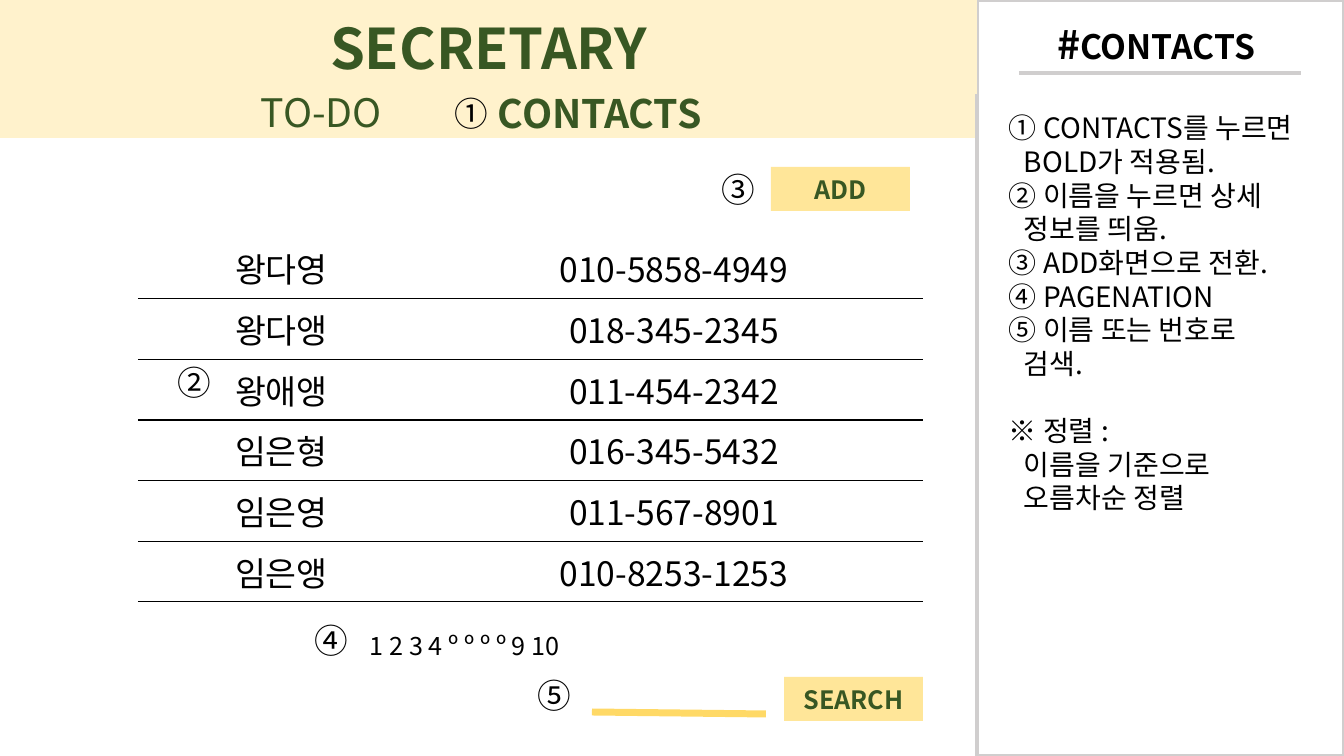
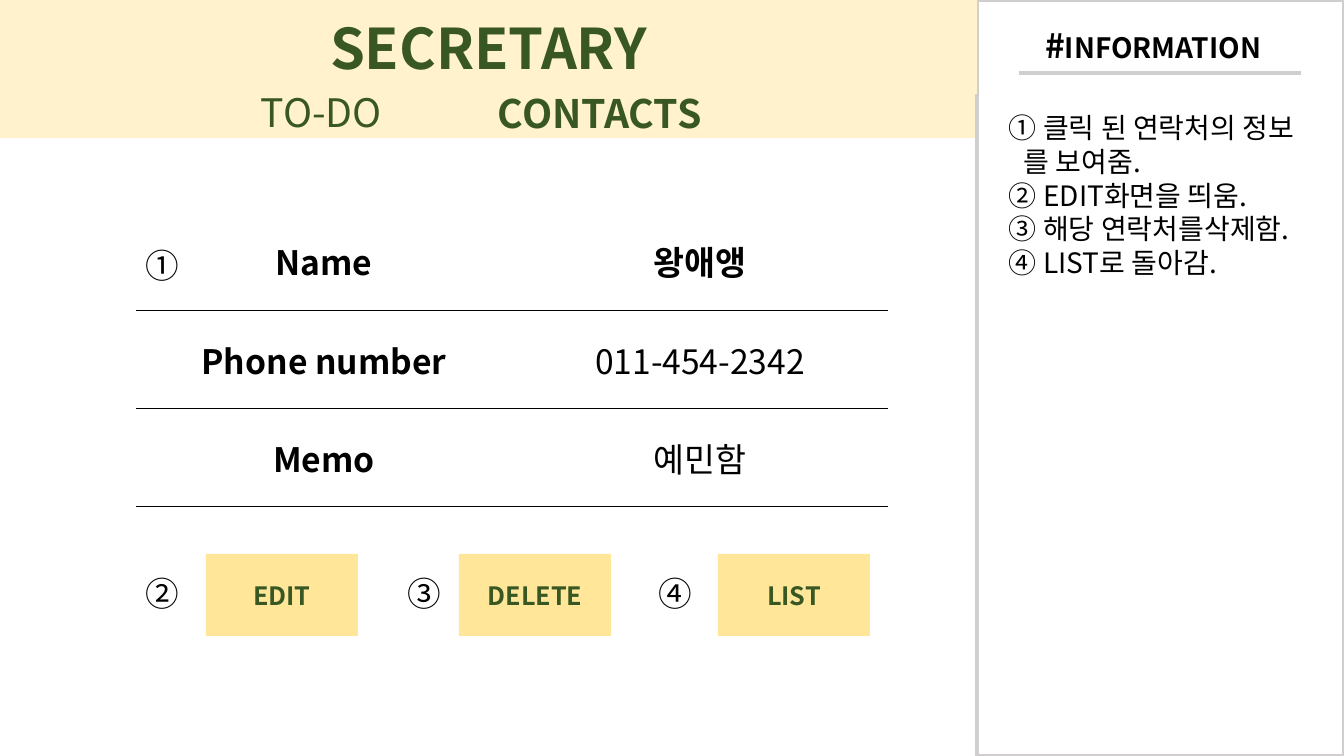
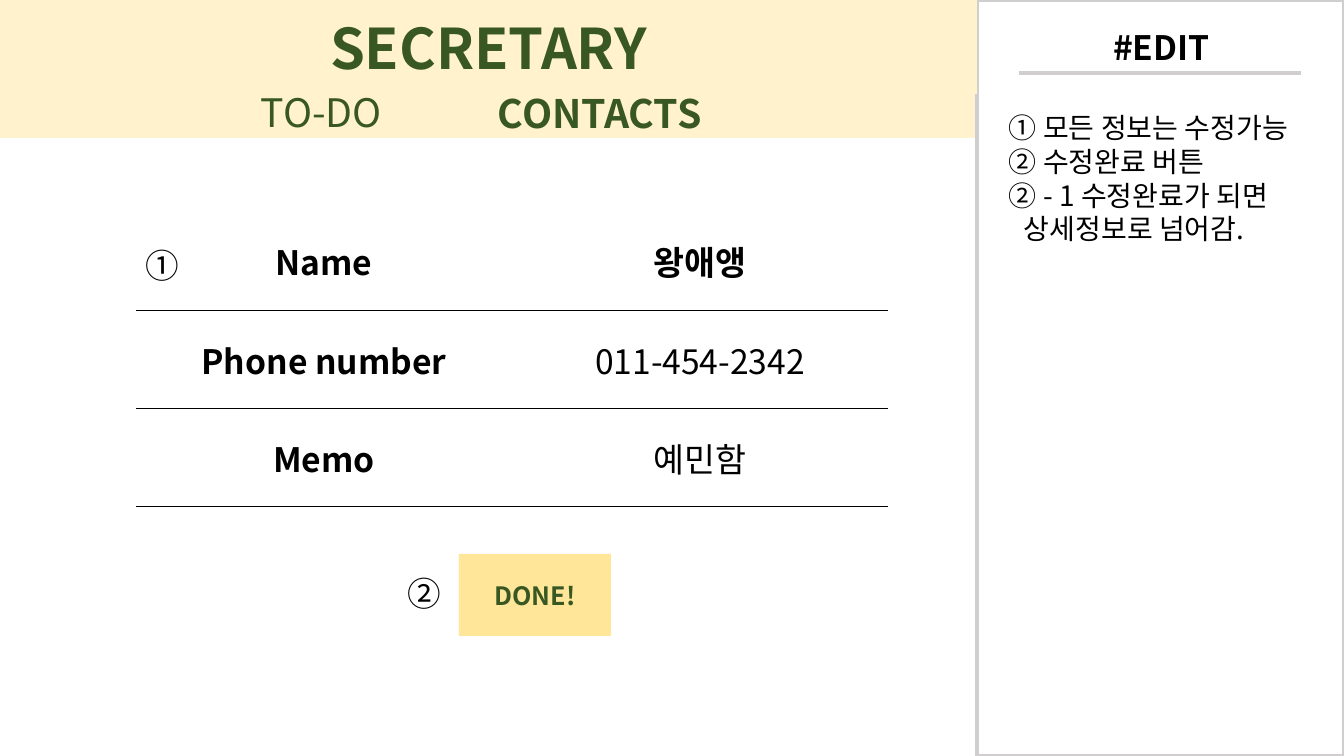
"""Build the three contact-screen slides of the SECRETARY storyboard."""
import dataclasses

import lxml.etree
import pptx
import pptx.dml.color
import pptx.enum.shapes
import pptx.enum.text
import pptx.oxml.ns
import pptx.util


@dataclasses.dataclass(frozen=True)
class Theme:
    font: str = "Noto Sans CJK KR"
    black: str = "000000"
    white: str = "FFFFFF"
    green: str = "385723"
    cream: str = "FFF2CC"
    button: str = "FFE699"
    gold: str = "FFD966"
    gray: str = "D0CECE"
    brand_size: int = 40
    tab_size: int = 28
    main_size: int = 24
    note_size: int = 20
    small_size: int = 18


theme = Theme()
PIXEL = 914400 / 100.8
HANG = round(15 * PIXEL)
NO_STYLE = "{2D5ABB26-0587-4C30-8999-92F81FD0307C}"
qn = pptx.oxml.ns.qn
rgb = pptx.dml.color.RGBColor.from_string
Align = pptx.enum.text.PP_ALIGN
Anchor = pptx.enum.text.MSO_ANCHOR
RECTANGLE = pptx.enum.shapes.MSO_SHAPE.RECTANGLE
STRAIGHT = pptx.enum.shapes.MSO_CONNECTOR.STRAIGHT


def write(paragraph, text, size=theme.main_size, color=theme.black, bold=False, align=Align.LEFT):
    paragraph.alignment = align
    for index, line in enumerate(text.split("\v")):
        if index:
            paragraph.add_line_break()
        run = paragraph.add_run()
        run.text = line
        run.font.name = theme.font
        run.font.size = pptx.util.Pt(size)
        run.font.bold = bold
        run.font.color.rgb = rgb(color)
        east_asian = lxml.etree.SubElement(run.font._element, qn("a:ea"))
        east_asian.set("typeface", theme.font)


def add_box(slide, bounds, text="", fill=None, **text_format):
    bounds = [round(value * PIXEL) for value in bounds]
    if fill:
        shape = slide.shapes.add_shape(RECTANGLE, *bounds)
        shape.shadow.inherit = False
        shape.fill.solid()
        shape.fill.fore_color.rgb = rgb(fill)
        shape.line.fill.background()
        shape.text_frame.vertical_anchor = Anchor.MIDDLE
        text_format = {"color": theme.green, "bold": True, "align": Align.CENTER, **text_format}
    else:
        shape = slide.shapes.add_textbox(*bounds)
        shape.text_frame.word_wrap = True
    if text:
        write(shape.text_frame.paragraphs[0], text, **text_format)
    return shape


detail_table = {
    "bounds": (136, 212, 295),
    "columns": (376, 376),
    "rows": [("Name", "왕애앵"), ("Phone number", "011-454-2342"), ("Memo", "예민함")],
    "bold": {(0, 0), (0, 1), (1, 0), (2, 0)},
}
screens = [
    {
        "title": "CONTACTS",
        "title_bounds": (1047, 15, 232, 57),
        "title_sizes": (theme.tab_size, theme.main_size),
        "table": {
            "bounds": (138, 238, 364),
            "columns": (287, 498),
            "rows": [
                ("왕다영", "010-5858-4949"),
                ("왕다앵", "018-345-2345"),
                ("왕애앵", "011-454-2342"),
                ("임은형", "016-345-5432"),
                ("임은영", "011-567-8901"),
                ("임은앵", "010-8253-1253"),
            ],
            "bold": set(),
        },
        "notes": [
            "① CONTACTS를 누르면\vBOLD가 적용됨.",
            "② 이름을 누르면 상세\v정보를 띄움.",
            "③ ADD화면으로 전환.",
            "④ PAGENATION",
            "⑤ 이름 또는 번호로\v검색.",
            "※ 정렬 :\v이름을 기준으로\v오름차순 정렬",
        ],
        "buttons": [("ADD", (771, 167, 139, 44)), ("SEARCH", (784, 677, 139, 44))],
        "markers": [("①", 445, 88), ("②", 168, 357), ("③", 712, 164), ("④", 305, 615), ("⑤", 528, 670)],
        "pages": "1 2 3 4 º º º º 9 10",
        "lines": [((592, 712, 766, 714), theme.gold, 5)],
    },
    {
        "title": "INFORMATION",
        "title_bounds": (1035, 20, 251, 50),
        "title_sizes": (theme.main_size, theme.note_size),
        "table": detail_table,
        "notes": [
            "① 클릭 된 연락처의 정보\v를 보여줌.",
            "② EDIT화면을 띄움.",
            "③ 해당 연락처를삭제함.",
            "④ LIST로 돌아감.",
        ],
        "buttons": [
            ("EDIT", (206, 554, 152, 82)),
            ("DELETE", (459, 554, 152, 82)),
            ("LIST", (718, 554, 152, 82)),
        ],
        "markers": [("①", 136, 240), ("②", 136, 568), ("③", 398, 568), ("④", 649, 568)],
    },
    {
        "title": "EDIT",
        "title_bounds": (1103, 22, 130, 50),
        "title_sizes": (theme.main_size, theme.main_size),
        "table": detail_table,
        "notes": [
            "① 모든 정보는 수정가능",
            "② 수정완료 버튼",
            "② - 1 수정완료가 되면\v상세정보로 넘어감.",
        ],
        "buttons": [("DONE!", (459, 554, 152, 82))],
        "markers": [("①", 136, 240), ("②", 398, 568)],
    },
]

presentation = pptx.Presentation()
presentation.slide_width = round(1344 * PIXEL)
presentation.slide_height = round(756 * PIXEL)

for screen in screens:
    slide = presentation.slides.add_slide(presentation.slide_layouts[5])

    title = slide.shapes.title
    title.left, title.top, title.width, title.height = [
        round(value * PIXEL) for value in screen["title_bounds"]
    ]
    title.text_frame.auto_size = pptx.enum.text.MSO_AUTO_SIZE.NONE
    title.text_frame.vertical_anchor = Anchor.TOP
    for text, size in zip(("#", screen["title"]), screen["title_sizes"]):
        write(title.text_frame.paragraphs[0], text, size=size, bold=True)

    panel = add_box(slide, (977, 0, 367, 756), fill=theme.white)
    panel.fill.background()
    panel.line.color.rgb = rgb(theme.gray)
    panel.line.width = pptx.util.Pt(3)

    underline = ((1019, 73, 1301, 73), theme.gray, 2.75)
    for ends, color, weight in [underline, *screen.get("lines", [])]:
        line = slide.shapes.add_connector(STRAIGHT, *[round(value * PIXEL) for value in ends])
        line.line.color.rgb = rgb(color)
        line.line.width = pptx.util.Pt(weight)
        lxml.etree.SubElement(line.element.spPr, qn("a:effectLst"))

    add_box(slide, (0, 0, 977, 94), "SECRETARY", fill=theme.cream, size=theme.brand_size)
    add_box(slide, (0, 74, 975, 64), fill=theme.cream)
    add_box(slide, (251, 83, 159, 57), "TO-DO", size=theme.tab_size, color=theme.green)
    add_box(slide, (488, 84, 232, 57), "CONTACTS", size=theme.tab_size, color=theme.green, bold=True)

    content = screen["table"]
    left, top, height = [round(value * PIXEL) for value in content["bounds"]]
    widths = [round(value * PIXEL) for value in content["columns"]]
    rows = content["rows"]
    frame = slide.shapes.add_table(len(rows), len(widths), left, top, sum(widths), height)
    frame.element.find(".//" + qn("a:tableStyleId")).text = NO_STYLE
    table = frame.table
    table.first_row = False
    table.horz_banding = False
    for column, width in zip(table.columns, widths):
        column.width = width
    for row_index, values in enumerate(rows):
        table.rows[row_index].height = height // len(rows)
        for column_index, value in enumerate(values):
            cell = table.cell(row_index, column_index)
            cell.vertical_anchor = Anchor.MIDDLE
            cell.fill.solid()
            cell.fill.fore_color.rgb = rgb(theme.white)
            bold = (row_index, column_index) in content["bold"]
            write(cell.text_frame.paragraphs[0], value, bold=bold, align=Align.CENTER)
            border = lxml.etree.Element(qn("a:lnB"), w=str(pptx.util.Pt(1)))
            border_fill = lxml.etree.SubElement(border, qn("a:solidFill"))
            lxml.etree.SubElement(border_fill, qn("a:srgbClr"), val=theme.black)
            cell._tc.get_or_add_tcPr().insert(0, border)

    notes_frame = add_box(slide, (999, 106, 343, 417)).text_frame
    for index, note in enumerate(screen["notes"]):
        paragraph = notes_frame.add_paragraph() if index else notes_frame.paragraphs[0]
        write(paragraph, note, size=theme.note_size)
        paragraph.line_spacing = pptx.util.Pt(1.2 * theme.note_size)
        if note.startswith("※"):
            paragraph.space_before = pptx.util.Pt(1.2 * theme.note_size)
        properties = paragraph._p.get_or_add_pPr()
        properties.set("marL", str(HANG))
        properties.set("indent", str(-HANG))

    for label, bounds in screen["buttons"]:
        add_box(slide, bounds, label, fill=theme.button, size=theme.small_size)
    for marker, left, top in screen["markers"]:
        add_box(slide, (left, top, 54, 50), marker)
    if "pages" in screen:
        add_box(slide, (360, 625, 256, 40), screen["pages"], size=theme.small_size)

presentation.save("out.pptx")
